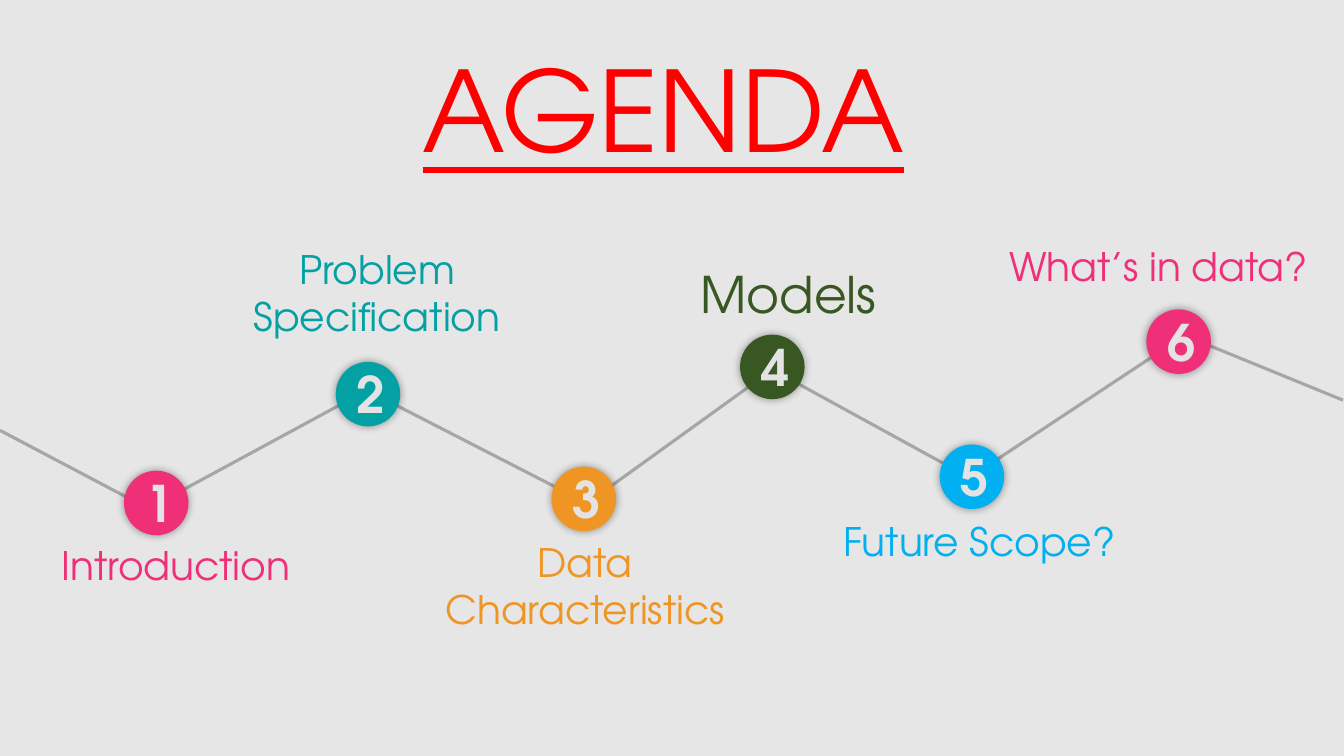
import pptx
import pptx.dml.color
import pptx.enum.shapes
import pptx.enum.text
import pptx.oxml
import pptx.oxml.ns
import pptx.util

FONT = "TeX Gyre Adventor"
CELL = pptx.util.Inches(0.1)
COLUMNS, ROWS = 133.3, 75
DISC = 6.4
NUMBER_WIDTH, NUMBER_HEIGHT = 4.2, 7.1
PINK, TEAL, ORANGE = "EF3078", "03A1A4", "EE9524"
GREEN, BLUE, RED = "385723", "00B0F0", "FF0000"
PALE, GREY, BACKGROUND = "E3E3E3", "A6A6A6", "E7E6E6"

STOPS = [
    ("Introduction", PINK, 28, (12.3, 46.7), (4.6, 53.2, 25.7, 5.7)),
    ("Problem Specification", TEAL, 28, (33.3, 35.9), (23.4, 23.8, 28, 10.4)),
    ("Data Characteristics", ORANGE, 28, (54.7, 46.3), (42.7, 52.9, 30.7, 10.4)),
    ("Models", GREEN, 36, (73.4, 33.2), (64.2, 25.6, 28, 7.1)),
    ("Future Scope?", BLUE, 28, (93.2, 44.1), (82.5, 50.8, 29.3, 5.7)),
    ("What’s in data?", PINK, 28, (113.7, 30.7), (98.5, 23.5, 32.8, 5.7)),
]

ROUTE = [
    ((0, 42.7), (14.8, 50.5)),
    ((16.3, 49.6), (35.7, 39.1)),
    ((38.9, 40), (57.6, 49.6)),
    ((58.7, 49.6), (75.9, 37.2)),
    ((76.3, 36.5), (96, 47.3)),
    ((97.8, 46.3), (116.1, 34.2)),
    ((119, 33.9), (133.2, 39.7)),
]


def cells(*counts):
    """Turn grid counts into lengths."""
    return [round(count * CELL) for count in counts]


def color(code):
    """Turn a hex string into a colour."""
    return pptx.dml.color.RGBColor.from_string(code)


def add_text(page, area, text, size, code, bold=False, underline=False):
    """Add a centred line of text in a wrapping box."""
    box = page.shapes.add_textbox(*cells(*area))
    frame = box.text_frame
    frame.word_wrap = True
    frame.auto_size = pptx.enum.text.MSO_AUTO_SIZE.SHAPE_TO_FIT_TEXT
    para = frame.paragraphs[0]
    para.alignment = pptx.enum.text.PP_ALIGN.CENTER
    span = para.add_run()
    span.text = text
    span.font.name = FONT
    span.font.size = pptx.util.Pt(size)
    span.font.bold = bold
    span.font.underline = underline
    span.font.color.rgb = color(code)


def add_segment(page, start, end):
    """Add one grey stretch of the route."""
    line = page.shapes.add_connector(
        pptx.enum.shapes.MSO_CONNECTOR.STRAIGHT, *cells(*start, *end))
    line.line.color.rgb = color(GREY)
    line.line.width = pptx.util.Pt(2.25)
    line._element.spPr.append(pptx.oxml.parse_xml(
        f"<a:effectLst {pptx.oxml.ns.nsdecls('a')}/>"))


def add_disc(page, left, top, number, code):
    """Add a softly shadowed disc with its number."""
    disc = page.shapes.add_shape(
        pptx.enum.shapes.MSO_SHAPE.OVAL, *cells(left, top, DISC, DISC))
    disc.fill.solid()
    disc.fill.fore_color.rgb = color(code)
    disc.line.fill.background()
    disc.shadow.inherit = False
    effects = disc._element.spPr.find(pptx.oxml.ns.qn("a:effectLst"))
    effects.append(pptx.oxml.parse_xml(
        f"<a:outerShdw {pptx.oxml.ns.nsdecls('a')} blurRad='{pptx.util.Pt(6)}' "
        "dist='0' dir='0' algn='ctr' rotWithShape='0'>"
        "<a:srgbClr val='000000'><a:alpha val='40000'/></a:srgbClr></a:outerShdw>"))
    area = (left + (DISC - NUMBER_WIDTH) / 2, top + (DISC - NUMBER_HEIGHT) / 2,
            NUMBER_WIDTH, NUMBER_HEIGHT)
    add_text(page, area, str(number), 36, PALE, bold=True)


def main():
    """Build the agenda slide."""
    deck = pptx.Presentation()
    deck.slide_width, deck.slide_height = cells(COLUMNS, ROWS)
    page = deck.slides.add_slide(deck.slide_layouts[6])
    page.background.fill.solid()
    page.background.fill.fore_color.rgb = color(BACKGROUND)
    for start, end in ROUTE:
        add_segment(page, start, end)
    add_text(page, (26, 3.5, 79.6, 14.5), "AGENDA", 80, RED, underline=True)
    for number, (label, code, size, corner, area) in enumerate(STOPS, 1):
        add_disc(page, *corner, number, code)
        add_text(page, area, label, size, code)
    deck.save("out.pptx")


if __name__ == "__main__":
    main()
